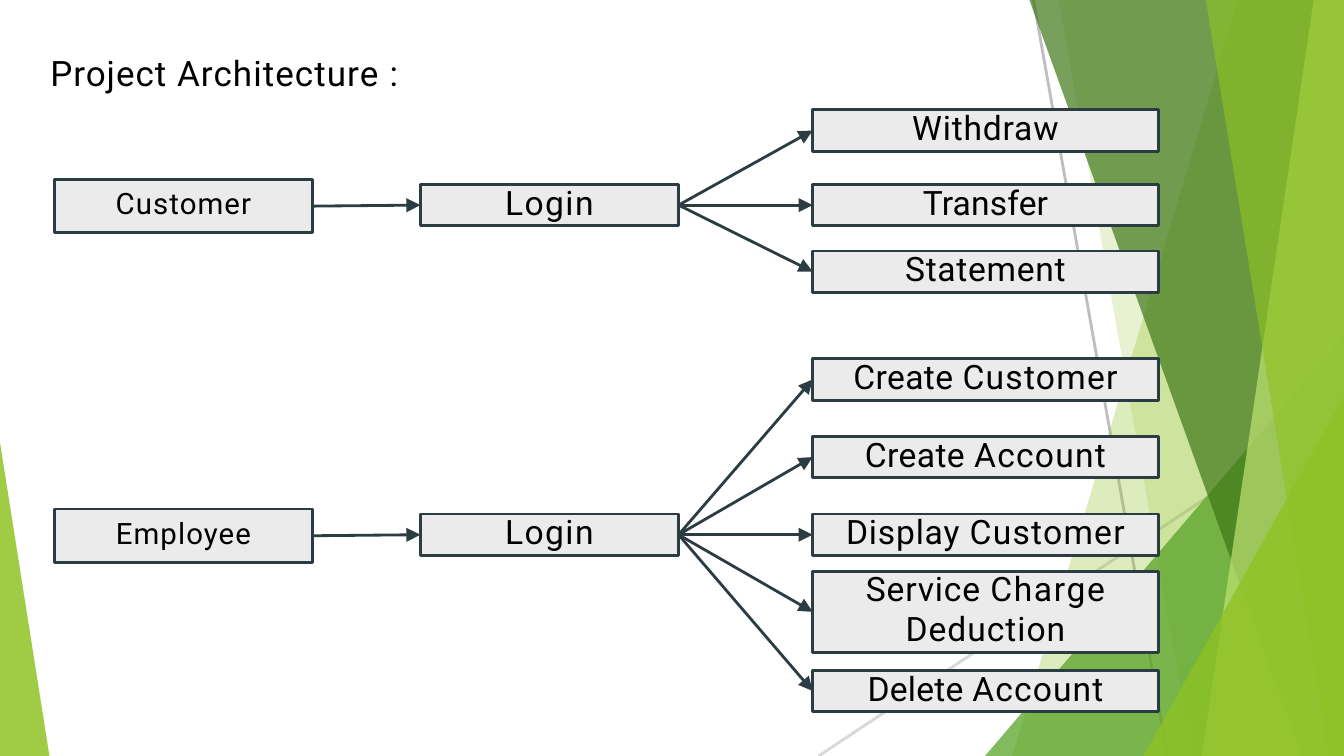
import pptx
import pptx.util
import pptx.dml.color
import pptx.enum.shapes
import pptx.enum.text
import pptx.oxml
import pptx.oxml.ns

Inches, Pt = pptx.util.Inches, pptx.util.Pt
WIDE, HIGH = 13.33, 7.5
FONT = "Roboto"
HUES = {"ink": "2B3C42", "box": "EBEBEB", "text": "000000", "gray": "BEBEBE",
        "pale": "D8D8D8", "lime": "8FC225", "leaf": "53A020",
        "moss": "3F7718", "mint": "BFE373"}

RAYS = [((10.25, 0), (11.58, HIGH), "gray"), ((WIDE, 4.03), (8.12, HIGH), "pale")]
BANDS = [(10.04, 12.28, 0, "lime", 30), (11.83, 10.5, 0, "lime", 20),
         (9.77, WIDE, 3.33, "leaf", 72), (12.91, 10.21, 0, "moss", 70),
         (11.92, 13.03, 0, "mint", 70), (13.18, 11.96, 0, "lime", 65),
         (11.34, WIDE, 3.93, "lime", 80)]
CORNER = [(0.49, HIGH), (0, HIGH), (0, 4.39)]

TITLE = [("Project ", 0.7), ("Architecture ", 0.8), (":", -2.8)]
FLOWS = [
    {"role": "Customer", "top": 1.78, "gap": 4.2, "login": (1.83, 26.9), "tasks": [
        (1.09, 0.41, [([("Withdraw", 0.6)], 26.3)]),
        (1.83, 0.41, [([("Transfer", 0.1)], 26.9)]),
        (2.49, 0.41, [([("Statement", 0.5)], 26.3)])]},
    {"role": "Employee", "top": 5.05, "gap": 4.6, "login": (5.1, 26.4), "tasks": [
        (3.56, 0.41, [([("Create ", 0.3), ("Customer", 0.9)], 26.6)]),
        (4.33, 0.41, [([("Create ", 0.3), ("Account", 0.9)], 26.9)]),
        (5.1, 0.41, [([("Display ", 0.6), ("Customer", 0.9)], 26.4)]),
        (5.67, 0.8, [([("Service ", 0.6), ("Charge", 1.2)], 26.3),
                     ([("Deduction", 0.7)], 28.4)]),
        (6.65, 0.41, [([("Delete ", 0.2), ("Account", 0.8)], 27.1)])]},
]
COLS = {"role": (0.54, 2.56), "login": (4.17, 2.56), "task": (8.06, 3.43)}

deck = pptx.Presentation()
deck.slide_width, deck.slide_height = Inches(WIDE), Inches(HIGH)
slide = deck.slides.add_slide(deck.slide_layouts[6])
shapes = slide.shapes


def rgb(name):
    return pptx.dml.color.RGBColor.from_string(HUES[name])


def tag(parent, name, **attrs):
    node = pptx.oxml.parse_xml(
        f'<a:{name} xmlns:a="http://schemas.openxmlformats.org/drawingml/2006/main"/>')
    for key, val in attrs.items():
        node.set(key, val)
    parent.append(node)


def link(start, end, hue):
    line = shapes.add_connector(pptx.enum.shapes.MSO_CONNECTOR.STRAIGHT,
                                *map(Inches, (*start, *end)))
    line.line.color.rgb = rgb(hue)
    line.line.width = Pt(2)
    tag(line._element.spPr, "effectLst")
    return line


def arrow(left, right):
    line = link((0, 0), (1, 1), "ink")
    line.begin_connect(left, 3)
    line.end_connect(right, 1)
    tag(line.line._get_or_add_ln(), "tailEnd", type="triangle", w="lg", len="lg")


def wedge(points, hue, alpha):
    dots = [(Inches(x), Inches(y)) for x, y in points]
    pen = shapes.build_freeform(*dots[0], scale=1.0)
    pen.add_line_segments(dots[1:], close=True)
    shape = pen.convert_to_shape()
    shape.shadow.inherit = False
    shape.fill.solid()
    shape.fill.fore_color.rgb = rgb(hue)
    shape.line.fill.background()
    fill = shape._element.spPr.find(".//" + pptx.oxml.ns.qn("a:srgbClr"))
    tag(fill, "alpha", val=str(alpha * 1000))


def frame(shape, top):
    text = shape.text_frame
    text.word_wrap = True
    text.vertical_anchor = pptx.enum.text.MSO_ANCHOR.TOP
    text.margin_left = text.margin_right = text.margin_bottom = 0
    text.margin_top = Inches(top)
    return text


def write(para, runs, size):
    for words, space in runs:
        run = para.add_run()
        run.text = words
        run.font.name, run.font.size = FONT, Pt(size)
        run.font.color.rgb = rgb("text")
        run._r.get_or_add_rPr().set("spc", str(round(space * 100)))


def box(col, top, high, lines, size=24, inset=0, gap=0):
    left, wide = COLS[col]
    shape = shapes.add_shape(pptx.enum.shapes.MSO_SHAPE.RECTANGLE,
                             *map(Inches, (left, top, wide, high)))
    shape.shadow.inherit = False
    shape.fill.solid()
    shape.fill.fore_color.rgb = rgb("box")
    shape.line.color.rgb = rgb("ink")
    shape.line.width = Pt(2)
    text = frame(shape, inset)
    for i, (runs, pitch) in enumerate(lines):
        para = text.add_paragraph() if i else text.paragraphs[0]
        para.alignment = pptx.enum.text.PP_ALIGN.CENTER
        para.space_before = Pt(gap)
        if pitch:
            para.line_spacing = Pt(pitch)
        write(para, runs, size)
    return shape


for start, end, hue in RAYS:
    link(start, end, hue)
for low, high, top, hue, alpha in BANDS:
    points = [(WIDE, HIGH), (low, HIGH), (high, top)]
    if high < WIDE:
        points.append((WIDE, top))
    wedge(points, hue, alpha)
wedge(CORNER, "lime", 85)

head = frame(shapes.add_textbox(*map(Inches, (0.5, 0.5, 3.63, 0.44))), 0.01)
head.paragraphs[0].space_before = Pt(1)
write(head.paragraphs[0], TITLE, 25)

for flow in FLOWS:
    role = box("role", flow["top"], 0.53, [([(flow["role"], 0.8)], None)],
               21, 0.06, flow["gap"])
    top, pitch = flow["login"]
    login = box("login", top, 0.41, [([("Login", 1)], pitch)])
    arrow(role, login)
    for top, high, lines in flow["tasks"]:
        arrow(login, box("task", top, high, lines))

deck.save("out.pptx")
